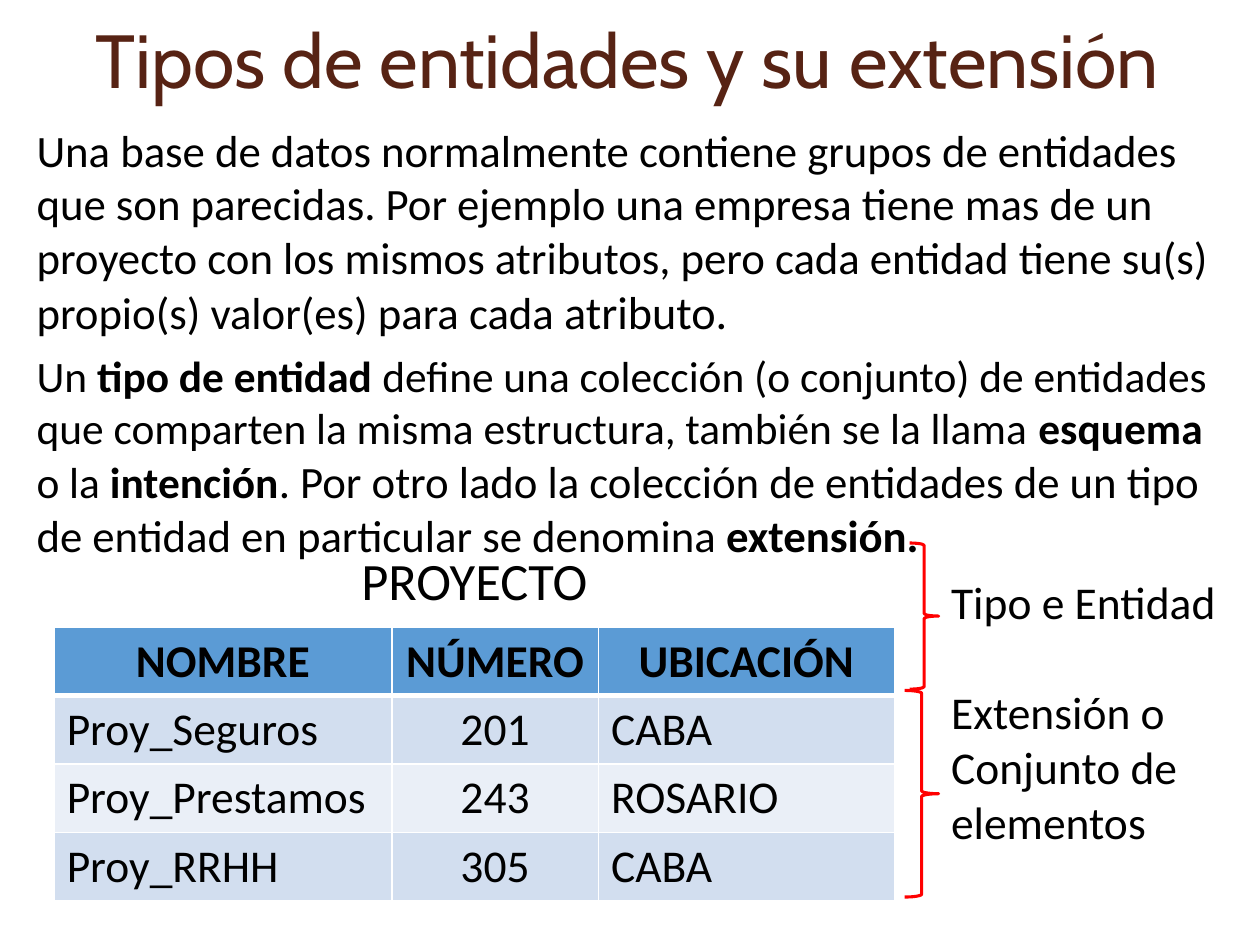
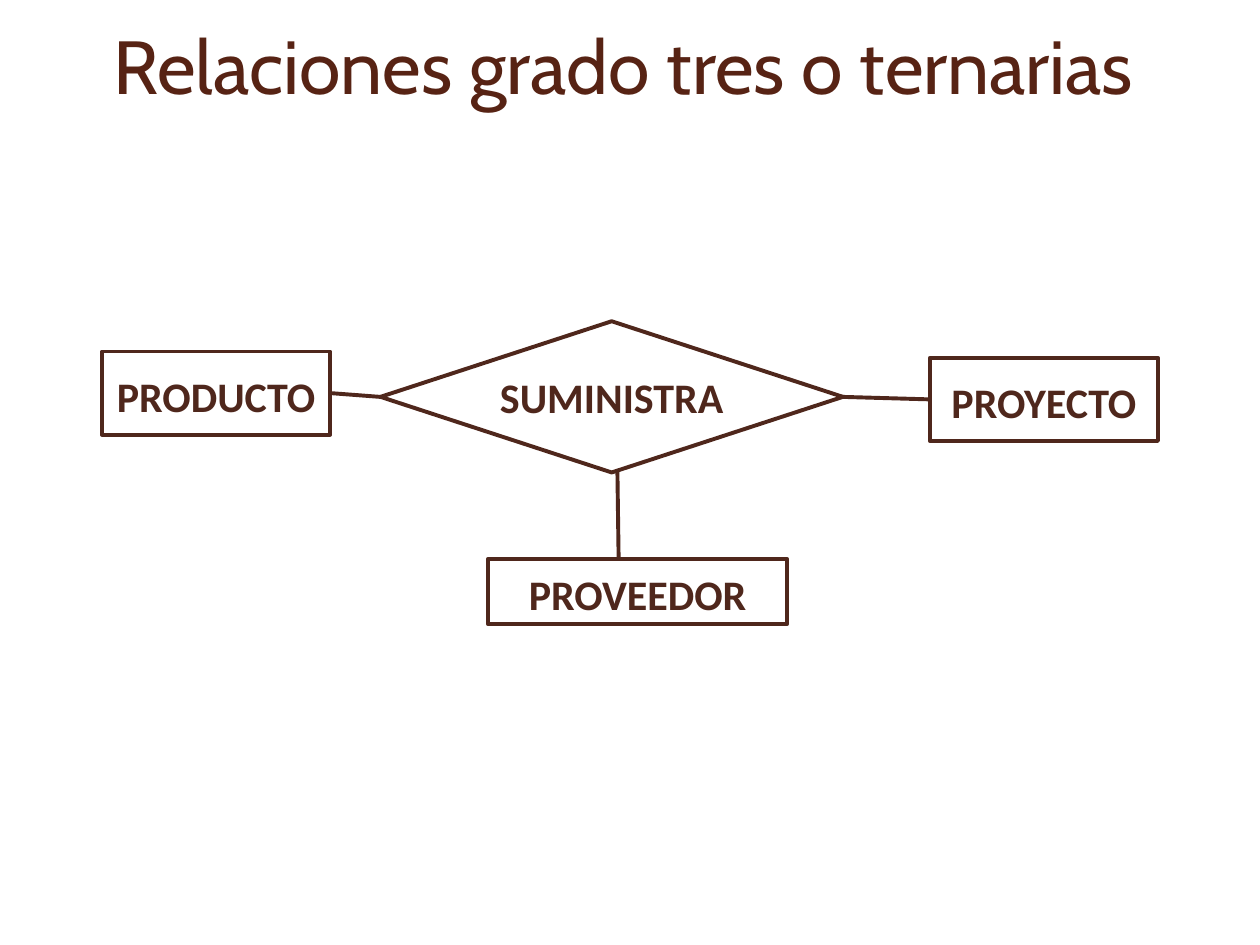
import collections
import dataclasses

import pptx
import pptx.dml.color
import pptx.enum.shapes
import pptx.enum.text
import pptx.oxml
import pptx.oxml.ns
import pptx.util
from pptx.util import Inches

SHAPE = pptx.enum.shapes.MSO_SHAPE
ALIGN = pptx.enum.text.PP_ALIGN
ANCHOR = pptx.enum.text.MSO_ANCHOR
TOP, LEFT, BOTTOM, RIGHT = range(4)

Box = collections.namedtuple("Box", "left top width height")
Style = collections.namedtuple("Style", "font size color bold", defaults=(False,))


@dataclasses.dataclass(frozen=True)
class Theme:
    brace: str = "FF0000"
    diagram: str = "4F271C"
    paper: str = "FFFFFF"
    header: str = "5B9BD5"
    bands: tuple = ("D2DEEF", "EAEFF7")
    brace_line: float = 1.75
    diagram_line: float = 2.25
    title: Style = Style("Cabin", 43, "572314")
    body: Style = Style("Calibri", 25.6, "000000")
    caption: Style = Style("Calibri", 30, "000000")
    cell: Style = Style("Calibri", 26, "000000")
    node: Style = Style("Calibri", 24, "4F271C", True)


THEME = Theme()


def rgb(value):
    return pptx.dml.color.RGBColor.from_string(value)


def inches(box):
    return [Inches(length) for length in box]


def add_span(para, text, style):
    span = para.add_run()
    span.text = text
    span.font.name = style.font
    span.font.size = pptx.util.Pt(style.size)
    span.font.bold = style.bold
    span.font.color.rgb = rgb(style.color)


def place(shape, box):
    shape.left, shape.top, shape.width, shape.height = inches(box)


def add_page(deck, layout, title, title_box):
    page = deck.slides.add_slide(deck.slide_layouts.get_by_name(layout))
    place(page.shapes.title, title_box)
    frame = page.shapes.title.text_frame
    frame.auto_size = pptx.enum.text.MSO_AUTO_SIZE.NONE
    frame.vertical_anchor = ANCHOR.MIDDLE
    para = frame.paragraphs[0]
    para.alignment = ALIGN.CENTER
    add_span(para, title, THEME.title)
    return page


def fill_body(page, box, paragraphs):
    """Fill the body with paragraphs of (text, size, bold) spans, without bullets."""
    body = page.placeholders[1]
    place(body, box)
    frame = body.text_frame
    frame.auto_size = pptx.enum.text.MSO_AUTO_SIZE.NONE
    for index, spans in enumerate(paragraphs):
        para = frame.add_paragraph() if index else frame.paragraphs[0]
        properties = para._p.get_or_add_pPr()
        properties.set("marL", "0")
        properties.set("indent", "0")
        properties.append(pptx.oxml.parse_xml(
            f"<a:buNone {pptx.oxml.ns.nsdecls('a')}/>"))
        para.space_before = pptx.util.Pt(6 if index else 0)
        for text, size, bold in spans:
            add_span(para, text, THEME.body._replace(size=size, bold=bold))


def add_text(page, box, lines, style, align=ALIGN.LEFT, gap=0):
    frame = page.shapes.add_textbox(*inches(box)).text_frame
    frame.word_wrap = True
    for index, line in enumerate(lines):
        para = frame.add_paragraph() if index else frame.paragraphs[0]
        para.alignment = align
        para.space_before = pptx.util.Pt(gap if index else 0)
        add_span(para, line, style)


def add_cell_borders(cell, top, bottom):
    properties = cell._tc.get_or_add_tcPr()
    for side, width in (("L", 1), ("R", 1), ("T", top), ("B", bottom)):
        properties.append(pptx.oxml.parse_xml(
            f'<a:ln{side} {pptx.oxml.ns.nsdecls("a")} w="{pptx.util.Pt(width)}">'
            f'<a:solidFill><a:srgbClr val="{THEME.paper}"/></a:solidFill></a:ln{side}>'))


def add_project_table(page, box, widths, rows):
    table = page.shapes.add_table(len(rows), len(widths), *inches(box)).table
    for column, width in zip(table.columns, widths):
        column.width = Inches(width)
    for r, values in enumerate(rows):
        table.rows[r].height = Inches(box.height / len(rows))
        for c, value in enumerate(values):
            cell = table.cell(r, c)
            add_cell_borders(cell, 3 if r == 1 else 1, 3 if r == 0 else 1)
            cell.fill.solid()
            cell.fill.fore_color.rgb = rgb(THEME.bands[(r - 1) % 2] if r else THEME.header)
            para = cell.text_frame.paragraphs[0]
            para.alignment = ALIGN.CENTER if r == 0 or c == 1 else ALIGN.LEFT
            add_span(para, value, THEME.cell._replace(bold=r == 0))


def add_outline(page, kind, box, color, width):
    shape = page.shapes.add_shape(kind, *inches(box))
    shape.shadow.inherit = False
    shape.fill.background()
    shape.line.color.rgb = rgb(color)
    shape.line.width = pptx.util.Pt(width)
    return shape


def add_braces(page, box):
    """Bracket the table's heading and its rows, and label both at the right."""
    for brace in (Box(box.left + 0.04, box.top, 0.23, 1.16),
                  Box(box.left, box.top + 1.17, 0.27, 1.64)):
        add_outline(page, SHAPE.RIGHT_BRACE, brace, THEME.brace, THEME.brace_line)
    labels = Box(box.left + 0.27, box.top + 0.2, box.width - 0.27, box.height - 0.4)
    add_text(page, labels, ["Tipo e Entidad", "Extensión o Conjunto de elementos"],
             THEME.cell, gap=31.7)


def add_node(page, kind, box, label):
    node = add_outline(page, kind, box, THEME.diagram, THEME.diagram_line)
    frame = node.text_frame
    frame.word_wrap = True
    frame.vertical_anchor = ANCHOR.MIDDLE
    frame.margin_left = frame.margin_right = 0
    frame.margin_top = Inches(0.01 if kind == SHAPE.DIAMOND else 0.05)
    frame.margin_bottom = Inches(0.01)
    para = frame.paragraphs[0]
    para.alignment = ALIGN.CENTER
    add_span(para, label, THEME.node)
    return node


def add_link(page, start=(0, 0), end=(0, 0)):
    link = page.shapes.add_connector(
        pptx.enum.shapes.MSO_CONNECTOR.STRAIGHT, *inches(start + end))
    link.line.color.rgb = rgb(THEME.diagram)
    link.line.width = pptx.util.Pt(THEME.diagram_line)
    link._element.spPr.append(pptx.oxml.parse_xml(
        f"<a:effectLst {pptx.oxml.ns.nsdecls('a')}/>"))
    return link


def add_ternary_diagram(page, box):
    """Draw one relationship diamond joined to three entities."""
    x, y = box.left, box.top
    product = add_node(page, SHAPE.RECTANGLE, Box(x, y + 0.24, 1.81, 0.66), "PRODUCTO")
    project = add_node(page, SHAPE.RECTANGLE,
                       Box(x + box.width - 1.81, y + 0.29, 1.81, 0.66), "PROYECTO")
    add_node(page, SHAPE.RECTANGLE,
             Box(x + 3.06, y + box.height - 0.51, 2.38, 0.51), "PROVEEDOR")
    supplies = add_node(page, SHAPE.DIAMOND, Box(x + 2.21, y, 3.67, 1.2), "SUMINISTRA")
    supplies.fill.solid()
    supplies.fill.fore_color.rgb = rgb(THEME.paper)
    for first, first_side, second, second_side in (
            (product, RIGHT, supplies, LEFT), (supplies, RIGHT, project, LEFT)):
        link = add_link(page)
        link.begin_connect(first, first_side)
        link.end_connect(second, second_side)
    add_link(page, (x + 4.09, y + 1.19), (x + 4.1, y + box.height - 0.51))


def build_entity_types(deck):
    page = add_page(deck, "Title and Content", "Tipos de entidades y su extensión",
                    Box(0.16, 0, 9.64, 0.92))
    fill_body(page, Box(0.19, 0.92, 9.61, 3.15), [
        [("Una base de datos normalmente contiene grupos de entidades que son parecidas. "
          "Por ejemplo una empresa tiene mas de un proyecto con los mismos atributos, "
          "pero cada entidad tiene su(s) propio(s) valor(es) para cada ", 25.6, False),
         ("atributo.", 26.4, False)],
        [("Un ", 24.8, False),
         ("tipo de entidad ", 24.8, True),
         ("define una colección (o conjunto) de entidades que comparten la misma "
          "estructura, también se la llama ", 24.8, False),
         ("esquema ", 24.8, True),
         ("o la ", 24.8, False),
         ("intención", 24.8, True),
         (". Por otro lado la colección de entidades de un tipo de entidad en "
          "particular se denomina ", 25.6, False),
         ("extensión.", 25.6, True)],
    ])
    add_project_table(page, Box(0.43, 4.98, 6.67, 2.13), (2.68, 1.64, 2.35), [
        ("NOMBRE", "NÚMERO", "UBICACIÓN"),
        ("Proy_Seguros", "201", "CABA"),
        ("Proy_Prestamos", "243", "ROSARIO"),
        ("Proy_RRHH", "305", "CABA"),
    ])
    add_text(page, Box(0.43, 4.3, 6.67, 0.61), ["PROYECTO"], THEME.caption, ALIGN.CENTER)
    add_braces(page, Box(7.18, 4.31, 2.61, 2.81))


def build_ternary_relations(deck):
    page = add_page(deck, "Title Only", "Relaciones grado tres o ternarias",
                    Box(0.12, 0, 9.65, 1.03))
    add_ternary_diagram(page, Box(0.81, 2.55, 8.38, 2.4))


def main():
    deck = pptx.Presentation()
    deck.slide_width, deck.slide_height = Inches(10), Inches(7.5)
    build_entity_types(deck)
    build_ternary_relations(deck)
    deck.save("out.pptx")


if __name__ == "__main__":
    main()
